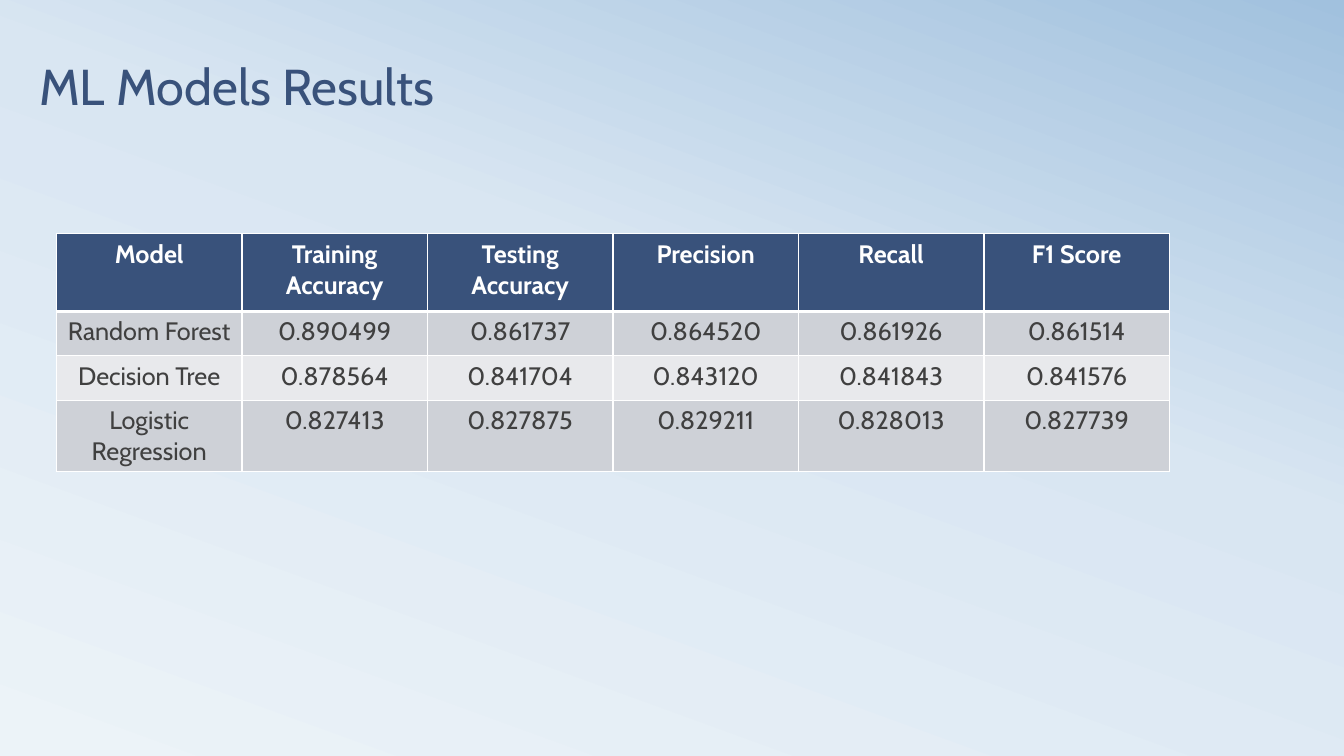
"""Builds the slide with the table of ML model results."""
from copy import deepcopy
from dataclasses import dataclass
from lxml.etree import SubElement
from pptx import Presentation
from pptx.dml.color import RGBColor
from pptx.enum.text import MSO_ANCHOR, MSO_AUTO_SIZE, PP_ALIGN
from pptx.oxml.ns import qn
from pptx.util import Inches, Pt


@dataclass(frozen=True)
class Theme:
    font: str = "Cabin"
    navy: str = "39527B"
    white: str = "FFFFFF"
    gray: str = "404040"
    bands: tuple = ("CED1D7", "E8E9EC")
    sky: tuple = (("ECF3F8", 0), ("D9E6F2", 0.58), ("A1C1DE", 1))
    head: int = 36
    body: int = 18


def style(para, size, color, bold, align):
    para.alignment = align
    for run in para.runs:
        run.font.name = theme.font
        run.font.size = Pt(size)
        run.font.bold = bold
        run.font.color.rgb = RGBColor.from_string(color)


def border(cell, sides):
    props = cell._tc.get_or_add_tcPr()
    for side, width in sides.items():
        line = SubElement(props, qn(f"a:ln{side}"), w=str(Pt(width)))
        paint = SubElement(line, qn("a:solidFill"))
        SubElement(paint, qn("a:srgbClr"), val=theme.white)


theme = Theme()
rows = [
    ("Model", "Training Accuracy", "Testing Accuracy", "Precision", "Recall", "F1 Score"),
    ("Random Forest", "0.890499", "0.861737", "0.864520", "0.861926", "0.861514"),
    ("Decision Tree", "0.878564", "0.841704", "0.843120", "0.841843", "0.841576"),
    ("Logistic Regression", "0.827413", "0.827875", "0.829211", "0.828013", "0.827739"),
]

deck = Presentation()
deck.slide_width, deck.slide_height = Inches(13.33), Inches(7.5)
slide = deck.slides.add_slide(deck.slide_layouts[5])

fill = slide.background.fill
fill.gradient()
fill.gradient_angle = 70
stops = slide.element.find(".//" + qn("a:gsLst"))
stops.append(deepcopy(stops[0]))
for stop, (color, place) in zip(fill.gradient_stops, theme.sky):
    stop.color.rgb = RGBColor.from_string(color)
    stop.position = place

title = slide.shapes.title
title.left, title.top = Inches(0.29), Inches(0.02)
title.width, title.height = Inches(12), Inches(1.17)
frame = title.text_frame
frame.text = "ML Models Results"
frame.word_wrap = True
frame.auto_size = MSO_AUTO_SIZE.NONE
frame.vertical_anchor = MSO_ANCHOR.BOTTOM
frame.paragraphs[0].line_spacing = 0.8
style(frame.paragraphs[0], theme.head, theme.navy, False, PP_ALIGN.LEFT)

count = len(rows[0])
tall, low = Inches(0.77), Inches(0.44)
table = slide.shapes.add_table(
    len(rows), count, Inches(0.56), Inches(2.32),
    Inches(1.84) * count, tall + low * (len(rows) - 1),
).table
for r, row in enumerate(rows):
    table.rows[r].height = low if r else tall
    back = theme.bands[(r - 1) % 2] if r else theme.navy
    ink = theme.gray if r else theme.white
    sides = {"L": 1, "R": 1, "T": 3 if r == 1 else 1, "B": 1 if r else 3}
    for c, text in enumerate(row):
        cell = table.cell(r, c)
        cell.text_frame.text = text
        style(cell.text_frame.paragraphs[0], theme.body, ink, r == 0, PP_ALIGN.CENTER)
        border(cell, sides)
        cell.fill.solid()
        cell.fill.fore_color.rgb = RGBColor.from_string(back)

deck.save("out.pptx")
